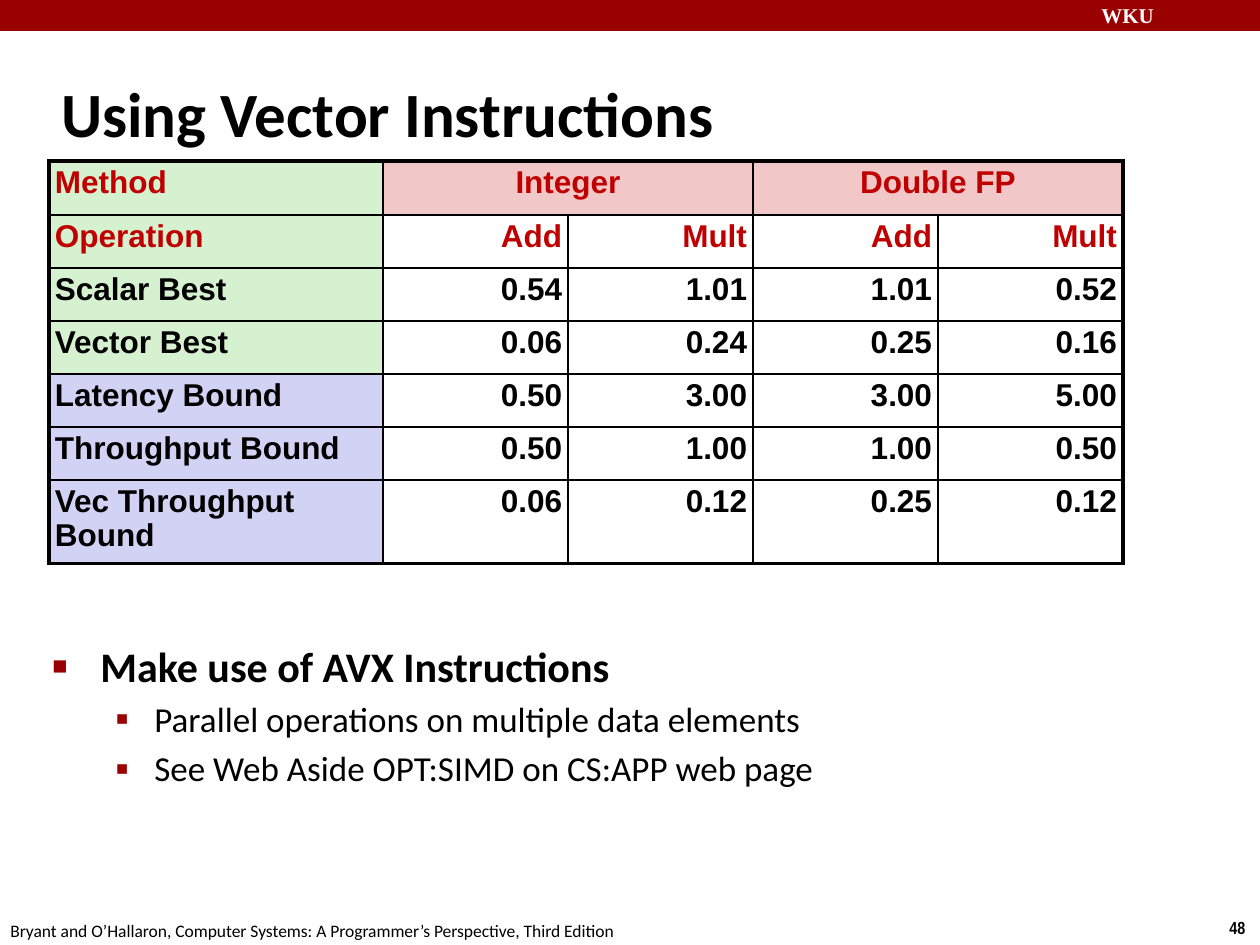
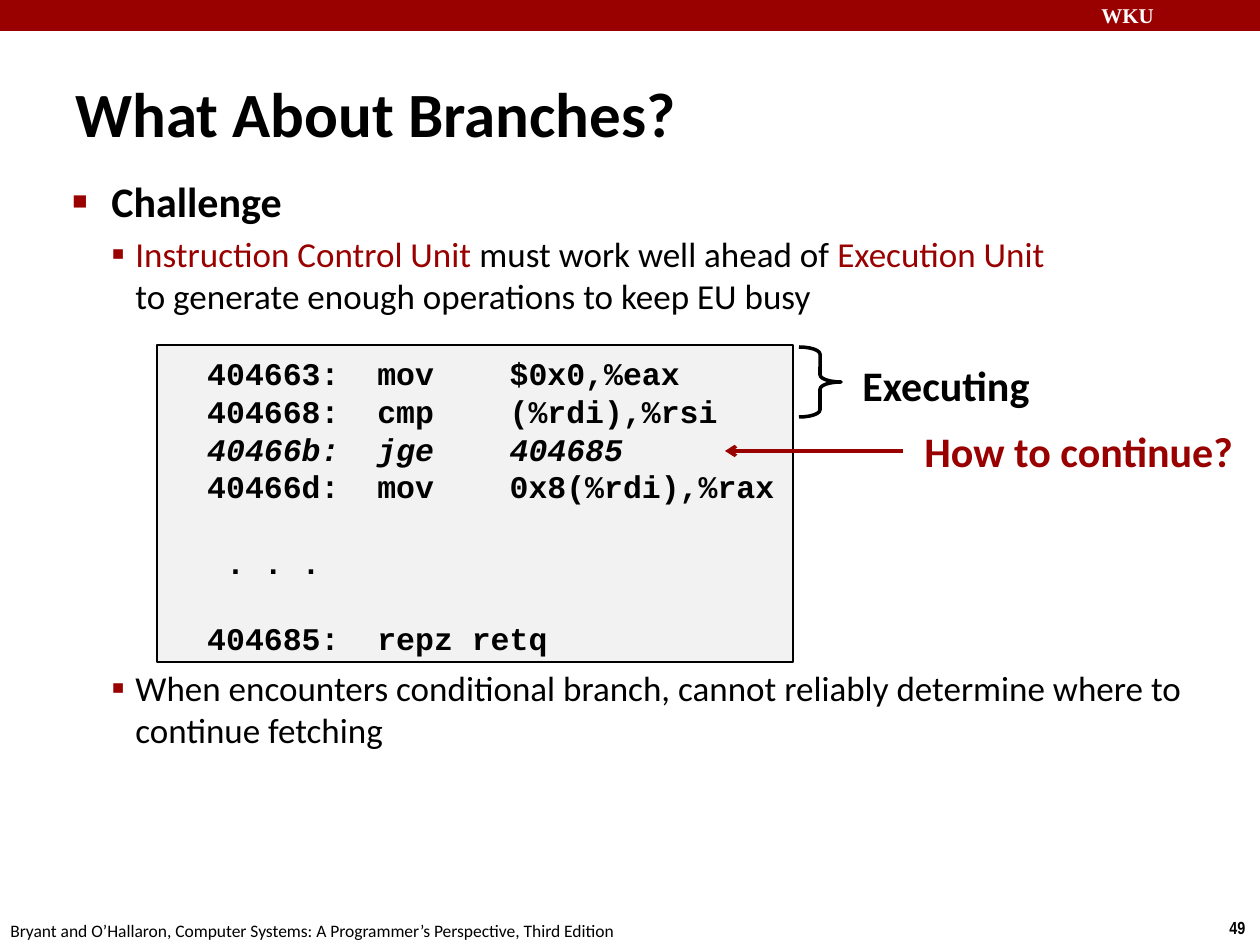
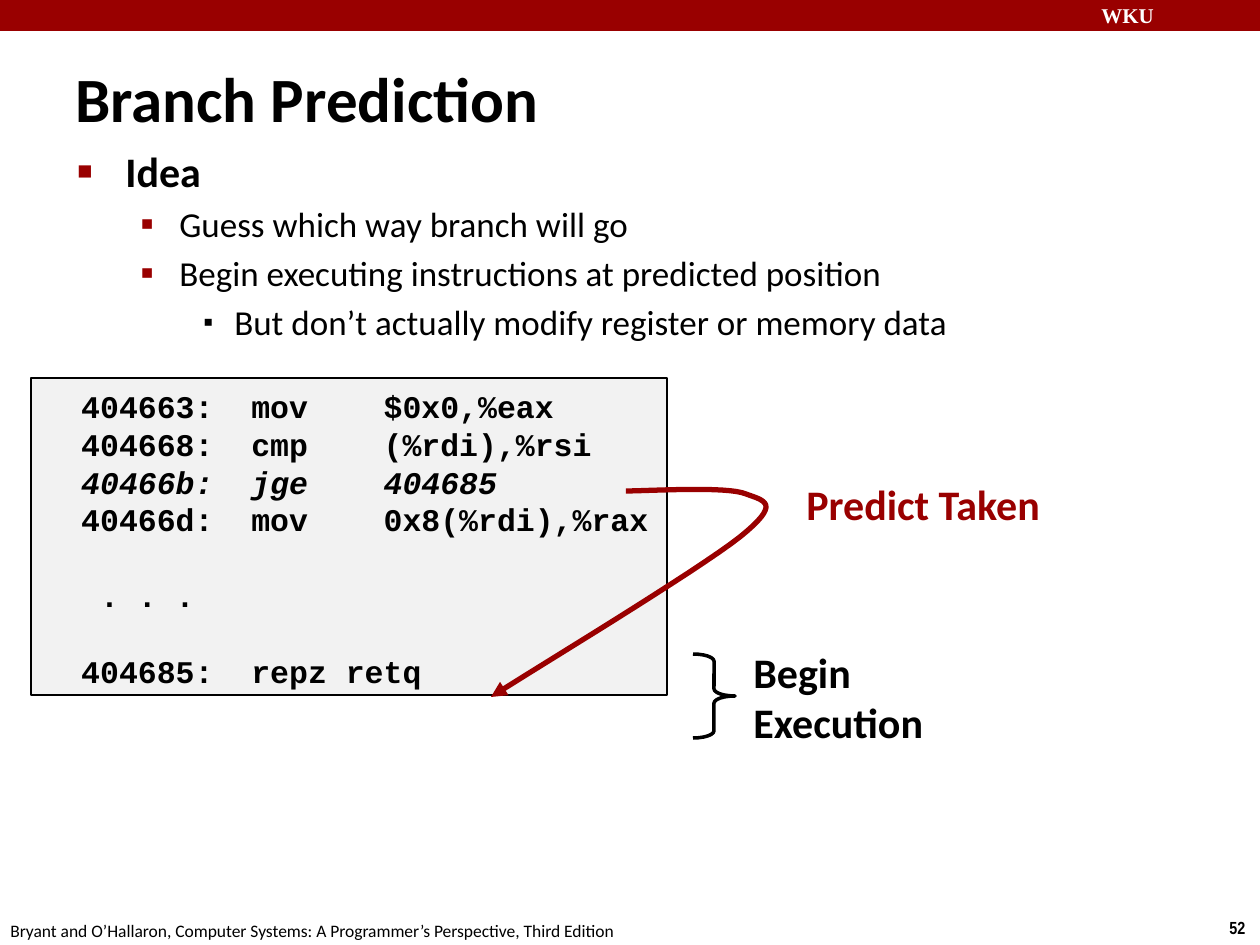
import pptx
import pptx.dml.color
import pptx.enum.shapes
import pptx.enum.text
import pptx.oxml
import pptx.oxml.ns
import pptx.util
from lxml import etree

# Content
BLACK, WHITE, CRIMSON, HEADING_RED = "000000", "FFFFFF", "990000", "C00000"
GREEN, PINK, LAVENDER, CODE_GRAY = "D5F1CF", "F1C7C7", "D2D2F4", "F2F2F2"

SCHOOL = "WKU"
CITATION = ("Bryant and O’Hallaron, Computer Systems: "
            "A Programmer’s Perspective, Third Edition")

# Each row: first-column fill, text colour, cells (None continues a merged cell)
CYCLES = [
    (GREEN, HEADING_RED, ["Method", "Integer", None, "Double FP", None]),
    (GREEN, HEADING_RED, ["Operation", "Add", "Mult", "Add", "Mult"]),
    (GREEN, BLACK, ["Scalar Best", "0.54", "1.01", "1.01", "0.52"]),
    (GREEN, BLACK, ["Vector Best", "0.06", "0.24", "0.25", "0.16"]),
    (LAVENDER, BLACK, ["Latency Bound", "0.50", "3.00", "3.00", "5.00"]),
    (LAVENDER, BLACK, ["Throughput Bound", "0.50", "1.00", "1.00", "0.50"]),
    (LAVENDER, BLACK, ["Vec Throughput Bound", "0.06", "0.12", "0.25", "0.12"]),
]
COLUMN_WIDTHS = [334] + [185] * 4
ROW_HEIGHTS = [54] + [53] * 5 + [79]

CODE_PITCH = 21.6
CODE = [
    "  404663:  mov    $0x0,%eax",
    "  404668:  cmp    (%rdi),%rsi",
    {"runs": ["  ", ("40466b:  jge    404685", {"italic": True})]},
    "  40466d:  mov    0x8(%rdi),%rax",
    {"runs": ["   . . ."], "before": CODE_PITCH},
    {"runs": ["  404685:  repz retq"], "before": CODE_PITCH},
]

# Bullet levels; margin and hang in px
LEVELS = [
    {"size": 24, "bold": True, "margin": 48, "hang": 48, "bullet": ("■", 60, CRIMSON)},
    {"size": 20, "margin": 102, "hang": 39, "before": 4, "bullet": ("▪", 110, CRIMSON)},
    {"size": 20, "margin": 157, "hang": 31, "before": 4, "bullet": ("▪", 80, BLACK)},
]
TIGHT = [{"margin": 39, "hang": 39}, {"margin": 63, "hang": 24}]
RED = {"color": CRIMSON}

AVX_POINTS = [
    (0, ["Make use of AVX Instructions"], {}),
    (1, ["Parallel operations on multiple data elements"], {}),
    (1, ["See Web Aside OPT:SIMD on CS:APP web page"], {}),
]
CHALLENGE_POINTS = [
    (0, ["Challenge"], TIGHT[0]),
    (1, [("Instruction Control Unit ", RED), "must work well ahead of ",
         ("Execution Unit", RED), "\n",
         "to generate enough operations to keep EU busy"], TIGHT[1]),
    (1, ["When encounters conditional branch, cannot reliably determine "
         "where to continue fetching"], {**TIGHT[1], "before": 200}),
]
IDEA_POINTS = [
    (0, ["Idea"], {}),
    (1, ["Guess which way branch will go"], {}),
    (1, ["Begin executing instructions at predicted position"], {}),
    (2, ["But don’t actually modify register or memory data"], {}),
]

# Jump arrow: start point, then cubic segments of two controls and an end
JUMP_START = (491, 697)
JUMP_CURVES = [
    ((533, 670), (697, 571), (740, 537)),
    ((782, 503), (765, 501), (746, 494)),
    ((727, 486), (651, 491), (626, 491)),
]

ALIGN = pptx.enum.text.PP_ALIGN
SHAPE = pptx.enum.shapes.MSO_SHAPE
EMU_PER_PX = 914400 / 126


def px(length):
    return pptx.util.Emu(round(length * EMU_PER_PX))


def rgb(value):
    return pptx.dml.color.RGBColor.from_string(value)


def child(parent, tag, **attributes):
    return etree.SubElement(parent, pptx.oxml.ns.qn(tag), attributes)


# Text
def write(frame, paragraphs, **base):
    for index, item in enumerate(paragraphs):
        own = {"runs": [item]} if isinstance(item, str) else item
        style = {"size": 18, "font": "Calibri", "color": BLACK, **base, **own}
        paragraph = frame.paragraphs[0] if index == 0 else frame.add_paragraph()
        paragraph.alignment = style.get("align", ALIGN.LEFT)
        if "bullet" in style:
            mark, percent, color = style["bullet"]
            props = paragraph._p.get_or_add_pPr()
            props.set("marL", str(px(style["margin"])))
            props.set("indent", str(px(-style["hang"])))
            child(child(props, "a:buClr"), "a:srgbClr", val=color)
            child(props, "a:buSzPct", val=str(percent * 1000))
            child(props, "a:buFont", typeface="Arial")
            child(props, "a:buChar", char=mark)
        if "spacing" in style:
            paragraph.line_spacing = style["spacing"]
        if index and "before" in style:
            paragraph.space_before = pptx.util.Pt(style["before"])
        for part in style["runs"]:
            if part == "\n":
                paragraph.add_line_break()
                continue
            words, change = (part, {}) if isinstance(part, str) else part
            look = {**style, **change}
            run = paragraph.add_run()
            run.text = words
            run.font.name = look["font"]
            run.font.size = pptx.util.Pt(look["size"])
            run.font.bold = look.get("bold", False)
            run.font.italic = look.get("italic", False)
            run.font.color.rgb = rgb(look["color"])


def add_text(slide, box, *paragraphs, wrap=False, middle=False, **style):
    frame = slide.shapes.add_textbox(*map(px, box)).text_frame
    frame.word_wrap = wrap
    if middle:
        frame.vertical_anchor = pptx.enum.text.MSO_ANCHOR.MIDDLE
    write(frame, paragraphs, **style)


def add_points(slide, box, points):
    add_text(slide, box, *({**LEVELS[level], "runs": runs, **change}
                           for level, runs, change in points), wrap=True)


def add_label(slide, box, *lines, color=BLACK):
    add_text(slide, box, *lines, size=24, bold=True, color=color)


# Shapes
def paint(shape, fill=None, line=None, width=1):
    shape.shadow.inherit = False
    if fill:
        shape.fill.solid()
        shape.fill.fore_color.rgb = rgb(fill)
    else:
        shape.fill.background()
    if line:
        shape.line.color.rgb = rgb(line)
        shape.line.width = pptx.util.Pt(width)
    else:
        shape.line.fill.background()


def add_brace(slide, box):
    brace = slide.shapes.add_shape(SHAPE.RIGHT_BRACE, *map(px, box))
    brace.adjustments[0] = 0.17
    paint(brace, line=BLACK, width=2)


def add_code(slide, left, top):
    listing = slide.shapes.add_shape(SHAPE.RECTANGLE, *map(px, (left, top, 636, 317)))
    paint(listing, CODE_GRAY, BLACK, 1.5)
    frame = listing.text_frame
    frame.word_wrap = True
    frame.vertical_anchor = pptx.enum.text.MSO_ANCHOR.TOP
    frame.margin_top = px(9)
    write(frame, CODE, font="Courier New", bold=True,
          spacing=pptx.util.Pt(CODE_PITCH))


def add_arrow(slide, start, end):
    arrow = slide.shapes.add_connector(
        pptx.enum.shapes.MSO_CONNECTOR.STRAIGHT, *map(px, start + end))
    arrow.line.color.rgb = rgb(CRIMSON)
    arrow.line.width = pptx.util.Pt(2)
    child(arrow.line._get_or_add_ln(), "a:tailEnd", type="arrow")
    child(arrow._element.spPr, "a:effectLst")


def curve_points(start, curves, steps=16):
    for first, second, end in curves:
        for step in range(1, steps + 1):
            t = step / steps
            u = 1 - t
            yield tuple(px(u**3 * a + 3 * u * u * t * b + 3 * u * t * t * c + t**3 * d)
                        for a, b, c, d in zip(start, first, second, end))
        start = end


def add_jump(slide):
    builder = slide.shapes.build_freeform(*map(px, JUMP_START))
    builder.add_line_segments(list(curve_points(JUMP_START, JUMP_CURVES)), close=False)
    jump = builder.convert_to_shape()
    paint(jump, line=CRIMSON, width=3)
    child(jump.line._get_or_add_ln(), "a:headEnd", type="triangle")


# Table
def set_borders(cell, widths):
    props = cell._tc.get_or_add_tcPr()
    for side, points in zip("LRTB", widths):
        line = child(props, f"a:ln{side}", w=str(pptx.util.Pt(points)))
        child(child(line, "a:solidFill"), "a:srgbClr", val=BLACK)


def add_cycles(slide, left, top):
    rows, columns = len(CYCLES), len(COLUMN_WIDTHS)
    table = slide.shapes.add_table(
        rows, columns, px(left), px(top),
        px(sum(COLUMN_WIDTHS)), px(sum(ROW_HEIGHTS))).table
    table.first_row = table.horz_banding = False
    for column, width in zip(table.columns, COLUMN_WIDTHS):
        column.width = px(width)
    for row, height in zip(table.rows, ROW_HEIGHTS):
        row.height = px(height)
    for r, (label_fill, color, values) in enumerate(CYCLES):
        for c, value in enumerate(values):
            if value is None:
                continue
            cell = table.cell(r, c)
            last = c
            while last + 1 < columns and values[last + 1] is None:
                last += 1
            if last > c:
                cell.merge(table.cell(r, last))
            outer = (c == 0, last == columns - 1, r == 0, r == rows - 1)
            set_borders(cell, [2.25 if edge else 1 for edge in outer])
            fill = label_fill if c == 0 else PINK if last > c else None
            if fill:
                cell.fill.solid()
                cell.fill.fore_color.rgb = rgb(fill)
            else:
                cell.fill.background()
            cell.margin_left = cell.margin_right = px(6)
            cell.margin_top = cell.margin_bottom = px(6)
            align = ALIGN.LEFT if c == 0 else ALIGN.CENTER if last > c else ALIGN.RIGHT
            write(cell.text_frame, [value], font="Arial", bold=True,
                  color=color, align=align, spacing=0.95)


# Shared frame: band, school, page number, citation and title
def new_slide(deck, number, title, title_box):
    slide = deck.slides.add_slide(deck.slide_layouts[6])
    band = slide.shapes.add_shape(SHAPE.RECTANGLE, *map(px, (0, 0, 1260, 31)))
    paint(band, CRIMSON)
    add_text(slide, (1089, -4, 180, 38), SCHOOL, wrap=True,
             size=12, font="Times New Roman", bold=True, color=WHITE)
    add_text(slide, (1217, 911, 43, 34), str(number),
             size=10, font="Arial Narrow", bold=True)
    add_text(slide, (-2, 914, 640, 34), CITATION, wrap=True, size=10)
    add_text(slide, title_box, title, wrap=True, middle=True, size=36, bold=True)
    return slide


def main():
    deck = pptx.Presentation()
    deck.slide_width, deck.slide_height = px(1260), px(945)

    vectors = new_slide(deck, 48, "Using Vector Instructions", (49, 60, 1046, 105))
    add_points(vectors, (40, 634, 1145, 258), AVX_POINTS)
    add_cycles(vectors, 49, 161)

    branches = new_slide(deck, 49, "What About Branches?", (63, 73, 885, 79))
    add_points(branches, (60, 169, 1188, 708), CHALLENGE_POINTS)
    add_code(branches, 157, 345)
    add_brace(branches, (799, 347, 42, 70))
    add_label(branches, (850, 353, 194, 63), "Executing")
    add_label(branches, (912, 419, 336, 63), "How to continue?", color=CRIMSON)
    add_arrow(branches, (903, 451), (725, 451))

    prediction = new_slide(deck, 52, "Branch Prediction", (63, 58, 776, 79))
    add_points(prediction, (65, 139, 1145, 282), IDEA_POINTS)
    add_label(prediction, (794, 472, 261, 63), "Predict Taken", color=CRIMSON)
    add_brace(prediction, (693, 654, 42, 84))
    add_label(prediction, (741, 640, 197, 115), "Begin", "Execution")
    add_code(prediction, 31, 378)
    add_jump(prediction)

    deck.save("out.pptx")


if __name__ == "__main__":
    main()
